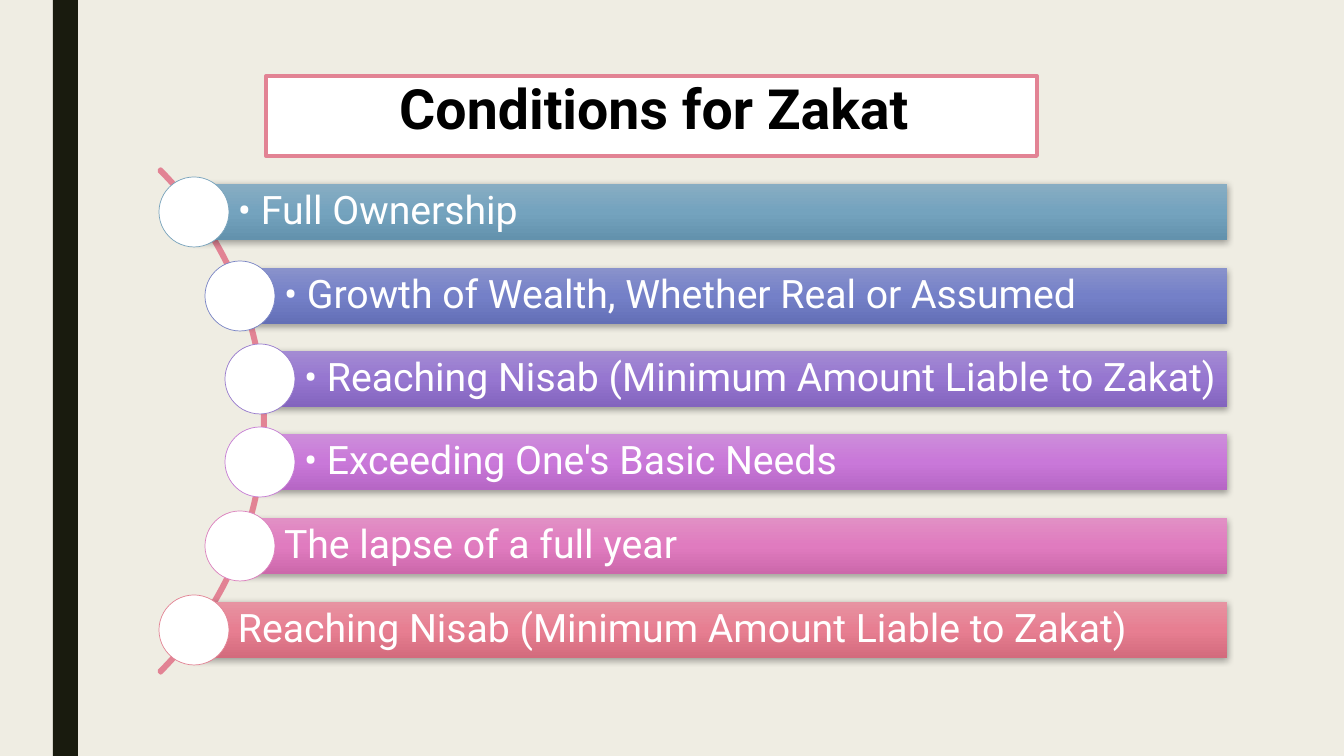
import dataclasses

import lxml.etree
import pptx
import pptx.dml.color
import pptx.enum.shapes
import pptx.enum.text
import pptx.oxml.ns
import pptx.util

EMU_PER_PX = 12192000 / 1344
FONT = "Roboto"
COLORS = {
    "background": "EFEDE3",
    "stripe": "191B0E",
    "white": "FFFFFF",
    "black": "000000",
    "accent": "E28394",
}
SHAPES = pptx.enum.shapes.MSO_SHAPE

# Row geometry in px
FIRST_ROW_CENTER = 212
ROW_PITCH = 83.5
BAR_RIGHT = 1227
BAR_HEIGHT = 56
CIRCLE_SIZE = 70

# The arc's circle in px
ARC_CENTER_X = -91
ARC_CENTER_Y = 421
ARC_RADIUS = 356


@dataclasses.dataclass
class Condition:
    text: str
    left: int
    gradient: tuple[str, str, str]
    outline: str


CONDITIONS = [
    Condition("• Full Ownership", 194, ("88ADC3", "74A3BE", "6392AD"), "77A2BB"),
    Condition("• Growth of Wealth, Whether Real or Assumed", 240,
              ("8992CB", "7480C8", "636FB6"), "7883C4"),
    Condition("• Reaching Nisab (Minimum Amount Liable to Zakat)", 260,
              ("A38BD3", "9676D0", "8364BE"), "977ACC"),
    Condition("• Exceeding One's Basic Needs", 260,
              ("CD8DDA", "C978D9", "B666C5"), "C67CD4"),
    Condition("The lapse of a full year", 240,
              ("E190C5", "E07BBF", "CC68AB"), "DB7FBD"),
    Condition("Reaching Nisab (Minimum Amount Liable to Zakat)", 194,
              ("E793A2", "E77E91", "D36B7D"), "E28394"),
]


def px(length: int) -> pptx.util.Emu:
    return pptx.util.Emu(round(length * EMU_PER_PX))


def rgb(value: str) -> pptx.dml.color.RGBColor:
    return pptx.dml.color.RGBColor.from_string(value)


def add_shape(slide, kind, left: int, top: int, width: int, height: int,
              fill: str | None = None, line: str | None = None, line_width: float = 0):
    shape = slide.shapes.add_shape(kind, px(left), px(top), px(width), px(height))
    shape.shadow.inherit = False
    if fill:
        shape.fill.solid()
        shape.fill.fore_color.rgb = rgb(fill)
    else:
        shape.fill.background()
    if line:
        shape.line.color.rgb = rgb(line)
        shape.line.width = pptx.util.Pt(line_width)
    else:
        shape.line.fill.background()
    return shape


def add_child(parent, tag: str, **attributes: str):
    return lxml.etree.SubElement(parent, pptx.oxml.ns.qn(tag), attributes)


def set_gradient(shape, colors: tuple[str, str, str]) -> None:
    shape.fill.gradient()
    shape.fill.gradient_angle = 270
    stops = shape.element.spPr.find(".//" + pptx.oxml.ns.qn("a:gsLst"))
    for stop in list(stops):
        stops.remove(stop)
    for index, color in enumerate(colors):
        stop = add_child(stops, "a:gs", pos=str(index * 50000))
        add_child(stop, "a:srgbClr", val=color)


def set_shadow(shape) -> None:
    effects = shape.element.spPr.find(pptx.oxml.ns.qn("a:effectLst"))
    shadow = add_child(effects, "a:outerShdw", blurRad="57150", dist="19050",
                       dir="5400000", algn="ctr", rotWithShape="0")
    color = add_child(shadow, "a:srgbClr", val=COLORS["black"])
    add_child(color, "a:alpha", val="35000")


def set_text(shape, text: str, size: float, color: str, alignment, anchor,
             insets: tuple[int, int, int, int], bold: bool = False) -> None:
    frame = shape.text_frame
    frame.word_wrap = True
    frame.vertical_anchor = anchor
    frame.margin_left, frame.margin_top, frame.margin_right, frame.margin_bottom = map(px, insets)
    paragraph = frame.paragraphs[0]
    paragraph.text = text
    paragraph.alignment = alignment
    paragraph.line_spacing = 0.9
    paragraph.font.name = FONT
    paragraph.font.size = pptx.util.Pt(size)
    paragraph.font.bold = bold
    paragraph.font.color.rgb = rgb(color)


def add_condition(slide, condition: Condition, center: int) -> None:
    bar = add_shape(slide, SHAPES.RECTANGLE, condition.left, center - BAR_HEIGHT // 2,
                    BAR_RIGHT - condition.left, BAR_HEIGHT)
    set_gradient(bar, condition.gradient)
    set_shadow(bar)
    set_text(bar, condition.text, 28, COLORS["white"], pptx.enum.text.PP_ALIGN.LEFT,
             pptx.enum.text.MSO_ANCHOR.MIDDLE, (44, 8, 8, 8))
    radius = CIRCLE_SIZE // 2
    add_shape(slide, SHAPES.OVAL, condition.left - radius, center - radius,
              CIRCLE_SIZE, CIRCLE_SIZE, COLORS["white"], condition.outline, 0.5)


def main() -> None:
    presentation = pptx.Presentation()
    presentation.slide_width = px(1344)
    presentation.slide_height = px(756)
    slide = presentation.slides.add_slide(presentation.slide_layouts[6])
    slide.background.fill.solid()
    slide.background.fill.fore_color.rgb = rgb(COLORS["background"])

    # Side stripe
    add_shape(slide, SHAPES.RECTANGLE, 53, 0, 25, 756, COLORS["stripe"])

    # Title
    title = add_shape(slide, SHAPES.RECTANGLE, 266, 76, 771, 80,
                      COLORS["white"], COLORS["accent"], 2.75)
    set_text(title, "Conditions for Zakat", 39.6, COLORS["black"],
             pptx.enum.text.PP_ALIGN.CENTER, pptx.enum.text.MSO_ANCHOR.TOP,
             (15, 6, 10, 5), bold=True)

    # Arc: from 315 to 45 degrees, almost no thickness
    arc = add_shape(slide, SHAPES.BLOCK_ARC, ARC_CENTER_X - ARC_RADIUS,
                    ARC_CENTER_Y - ARC_RADIUS, 2 * ARC_RADIUS, 2 * ARC_RADIUS,
                    line=COLORS["accent"], line_width=2.75)
    for index, value in enumerate((189, 27, 0.003)):
        arc.adjustments[index] = value

    # Conditions
    for index, condition in enumerate(CONDITIONS):
        add_condition(slide, condition, round(FIRST_ROW_CENTER + index * ROW_PITCH))

    presentation.save("out.pptx")


if __name__ == "__main__":
    main()
